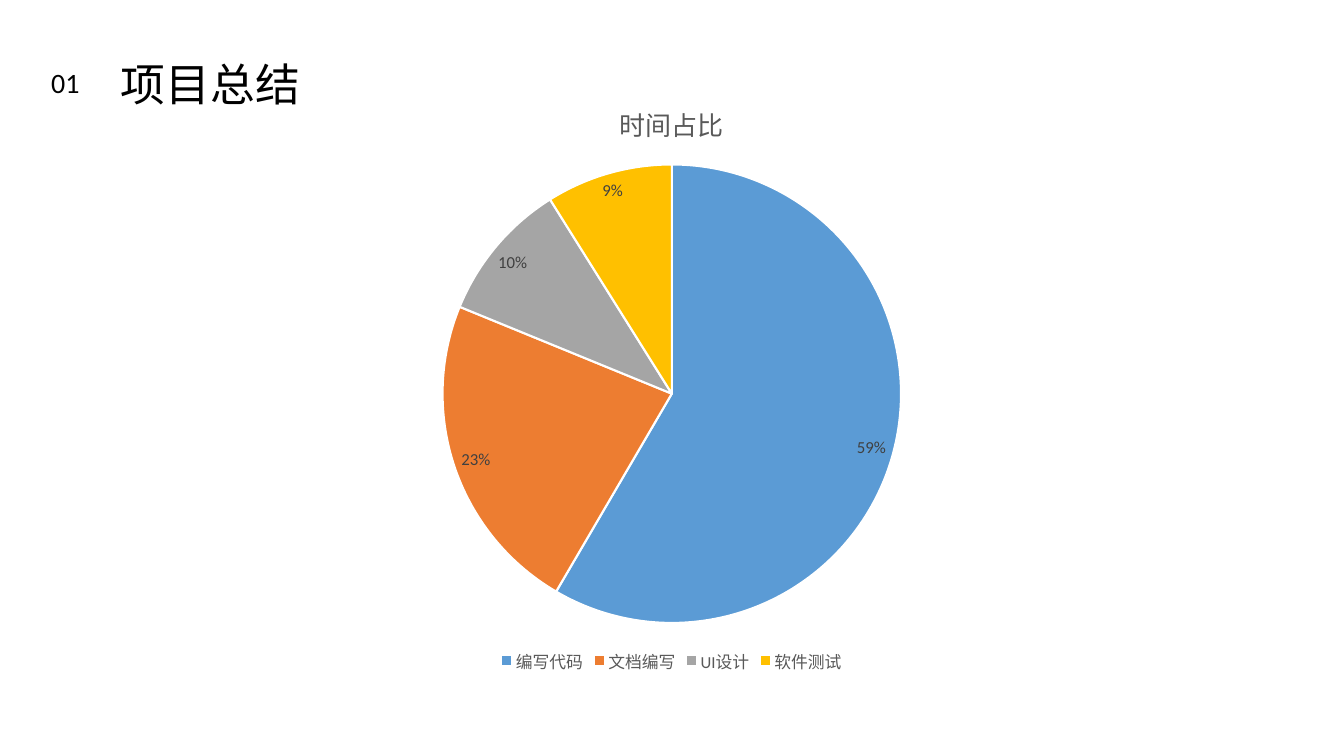
import pptx
import pptx.chart.data
import pptx.dml.color
import pptx.enum.chart
import pptx.enum.text
import pptx.util

Cm = pptx.util.Cm
Pt = pptx.util.Pt
RGB = pptx.dml.color.RGBColor
BLACK = RGB(0x00, 0x00, 0x00)
WHITE = RGB(0xFF, 0xFF, 0xFF)
GREY = RGB(0x59, 0x59, 0x59)
DARK = RGB(0x40, 0x40, 0x40)
BLUE = RGB(0x5B, 0x9B, 0xD5)
ORANGE = RGB(0xED, 0x7D, 0x31)
SILVER = RGB(0xA5, 0xA5, 0xA5)
GOLD = RGB(0xFF, 0xC0, 0x00)


class Deck:
    """Holds the font and the current slide, and adds elements to it."""

    def __init__(self, font):
        self.font = font
        self.show = pptx.Presentation()
        self.show.slide_width = Cm(33.87)
        self.show.slide_height = Cm(19.05)
        self.slide = self.show.slides.add_slide(self.show.slide_layouts[5])

    def style(self, font, size, color):
        font.name = self.font
        font.size = Pt(size)
        font.bold = False
        font.color.rgb = color

    def fill(self, shape, text, size):
        frame = shape.text_frame
        frame.text = text
        frame.word_wrap = False
        frame.auto_size = pptx.enum.text.MSO_AUTO_SIZE.NONE
        frame.vertical_anchor = pptx.enum.text.MSO_ANCHOR.TOP
        line = frame.paragraphs[0]
        line.alignment = pptx.enum.text.PP_ALIGN.LEFT
        self.style(line.runs[0].font, size, BLACK)

    def title(self, text, size, left, top, width, height):
        shape = self.slide.shapes.title
        shape.left, shape.top = Cm(left), Cm(top)
        shape.width, shape.height = Cm(width), Cm(height)
        self.fill(shape, text, size)

    def label(self, text, size, left, top, width, height):
        box = self.slide.shapes.add_textbox(Cm(left), Cm(top), Cm(width), Cm(height))
        self.fill(box, text, size)

    def pie(self, name, parts, left, top, width, height):
        data = pptx.chart.data.CategoryChartData(number_format='0"%"')
        data.categories = [part[0] for part in parts]
        data.add_series(name, [part[1] for part in parts])
        chart = self.slide.shapes.add_chart(
            pptx.enum.chart.XL_CHART_TYPE.PIE,
            Cm(left), Cm(top), Cm(width), Cm(height), data).chart
        self.style(chart.font, 10, BLACK)

        chart.has_title = True
        head = chart.chart_title.text_frame
        head.text = name
        self.style(head.paragraphs[0].runs[0].font, 18.6, GREY)

        chart.has_legend = True
        chart.legend.position = pptx.enum.chart.XL_LEGEND_POSITION.BOTTOM
        chart.legend.include_in_layout = False
        self.style(chart.legend.font, 12, GREY)

        plot = chart.plots[0]
        plot.vary_by_categories = True
        for spot, part in enumerate(parts):
            wedge = plot.series[0].points[spot].format
            wedge.fill.solid()
            wedge.fill.fore_color.rgb = part[2]
            wedge.line.color.rgb = WHITE
            wedge.line.width = Pt(1.5)

        labels = plot.series[0].data_labels
        labels.show_value = True
        labels.number_format = '0"%"'
        labels.number_format_is_linked = False
        labels.position = pptx.enum.chart.XL_LABEL_POSITION.BEST_FIT
        self.style(labels.font, 12, DARK)


def main():
    deck = Deck("Calibri")
    deck.label("01", 20, 1.04, 1.52, 1.24, 1.12)
    deck.title("项目总结", 32, 2.79, 1.3, 5.08, 1.63)
    parts = [
        ("编写代码", 59, BLUE),
        ("文档编写", 23, ORANGE),
        ("UI设计", 10, SILVER),
        ("软件测试", 9, GOLD),
    ]
    deck.pie("时间占比", parts, 5.64, 2.01, 22.58, 15.06)
    deck.show.save("out.pptx")


if __name__ == "__main__":
    main()
